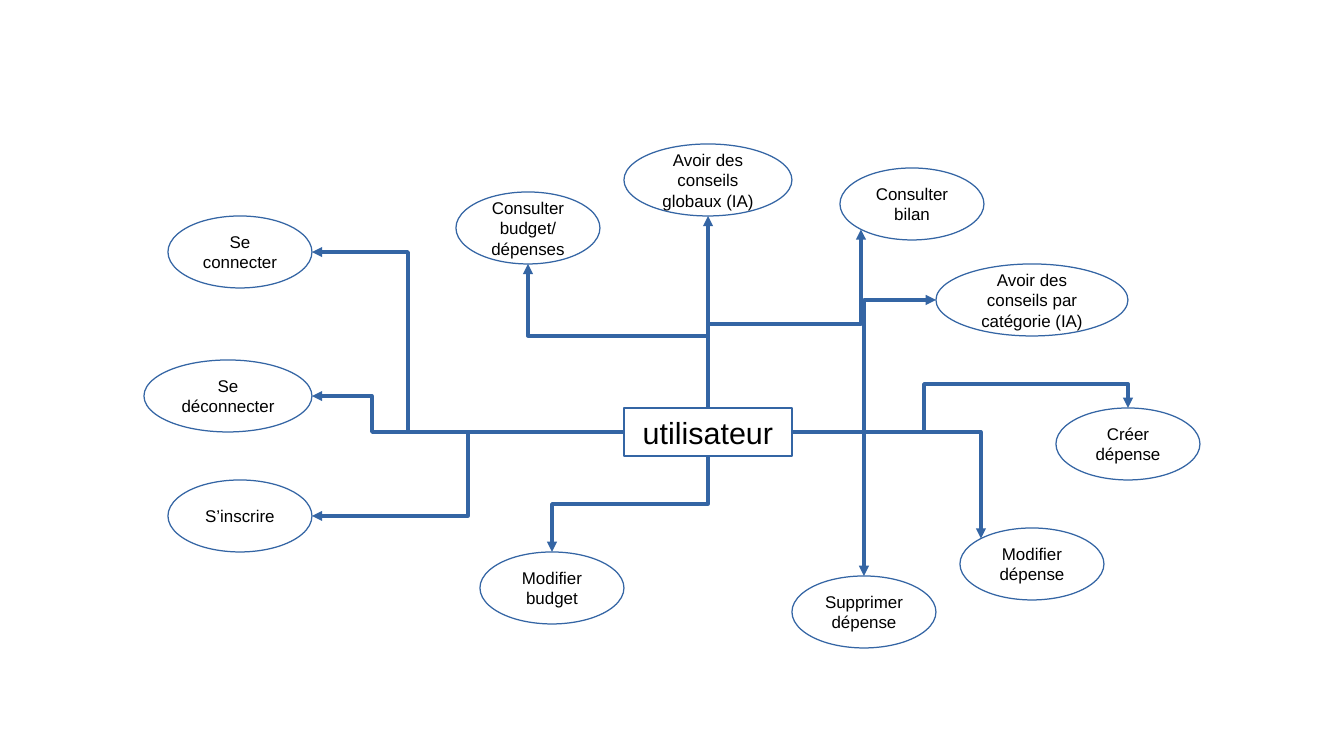
from pptx import Presentation
from pptx.dml.color import RGBColor
from pptx.enum.shapes import MSO_CONNECTOR, MSO_SHAPE
from pptx.enum.text import MSO_ANCHOR, PP_ALIGN
from pptx.oxml.ns import qn
from pptx.util import Cm, Pt
from lxml import etree

RECT, OVAL = MSO_SHAPE.RECTANGLE, MSO_SHAPE.OVAL
STRAIGHT = MSO_CONNECTOR.STRAIGHT
CENTER, MIDDLE = PP_ALIGN.CENTER, MSO_ANCHOR.MIDDLE

# Content: all lengths are cells of a square grid
COLS, ROWS, CELL = 56, 31.5, Cm(0.5)
FONT = "Arial"
COLORS = {"fill": "FFFFFF", "line": "3465A4", "text": "000000"}

ACTOR = ("utilisateur", (26, 17, 7, 2))

# Name: text, (column, row, width, height)
CASES = {
    "login": ("Se connecter", (7, 9, 6, 3)),
    "logout": ("Se déconnecter", (6, 15, 7, 3)),
    "signup": ("S’inscrire", (7, 20, 6, 3)),
    "view": ("Consulter\nbudget/dépenses", (19, 8, 6, 3)),
    "balance": ("Consulter\nbilan", (35, 7, 6, 3)),
    "global": ("Avoir des conseils globaux (IA)", (26, 6, 7, 3)),
    "category": ("Avoir des conseils par catégorie (IA)", (39, 11, 8, 3)),
    "budget": ("Modifier budget", (20, 23, 6, 3)),
    "create": ("Créer dépense", (44, 17, 6, 3)),
    "edit": ("Modifier dépense", (40, 22, 6, 3)),
    "delete": ("Supprimer dépense", (33, 24, 6, 3)),
}

# Case, side of the actor, side of the oval, columns or rows of the bends
LINKS = [
    ("view", "top", "bottom", [14]),
    ("global", "top", "bottom", []),
    ("balance", "top", "low left", [13.5]),
    ("category", "right", "left", [36]),
    ("delete", "right", "top", []),
    ("create", "right", "top", [38.5, 16]),
    ("edit", "right", "high left", []),
    ("budget", "bottom", "top", [21]),
    ("login", "left", "right", [17]),
    ("logout", "left", "right", [15.5]),
    ("signup", "left", "right", [19.5]),
]

# Actor side: site, direction out, angle of the path
EXITS = {
    "top": (0, (0, -1), 270),
    "left": (1, (-1, 0), 180),
    "bottom": (2, (0, 1), 90),
    "right": (3, (1, 0), 0),
}
# Side: site on an oval, share of width and height
EDGE = 0.146
SIDES = {
    "top": (0, 0.5, 0),
    "high left": (1, EDGE, EDGE),
    "left": (2, 0, 0.5),
    "low left": (3, EDGE, 1 - EDGE),
    "bottom": (4, 0.5, 1),
    "right": (6, 1, 0.5),
}

deck = Presentation()
deck.slide_width, deck.slide_height = int(COLS * CELL), int(ROWS * CELL)
slide = deck.slides.add_slide(deck.slide_layouts[6])


def color(name):
    return RGBColor.from_string(COLORS[name])


def outline(item):
    item.line.color.rgb = color("line")
    item.line.width = Pt(0)


def add_node(kind, text, cells, size):
    node = slide.shapes.add_shape(kind, *(int(n * CELL) for n in cells))
    node.shadow.inherit = False
    node.fill.solid()
    node.fill.fore_color.rgb = color("fill")
    outline(node)
    frame = node.text_frame
    frame.word_wrap = True
    frame.vertical_anchor = MIDDLE
    frame.text = text
    for para in frame.paragraphs:
        para.alignment = CENTER
        for run in para.runs:
            run.font.name, run.font.size = FONT, Pt(size)
            run.font.color.rgb = color("text")
    return node


def point(cells, side):
    left, top, width, height = cells
    _, across, down = SIDES[side]
    return left + across * width, top + down * height


def bend_path(link, start, end, way, angle, bends):
    """Shape the link as an elbow that leaves in the given direction."""
    delta = [b - a for a, b in zip(start, end)]
    axis = 0 if way[0] else 1
    long, wide = abs(delta[axis]), abs(delta[1 - axis])
    mid = [(a + b) / 2 for a, b in zip(start, end)]
    link.left = int((mid[0] - long / 2) * CELL)
    link.top = int((mid[1] - wide / 2) * CELL)
    link.width, link.height = int(long * CELL), int(wide * CELL)

    props = link._element.spPr
    frame = props.find(qn("a:xfrm"))
    flip = delta[1] * way[0] - delta[0] * way[1] < 0
    frame.set("rot", str(angle * 60000))
    frame.set("flipH", "0")
    frame.set("flipV", str(int(flip)))

    shape = props.find(qn("a:prstGeom"))
    shape.set("prst", f"bentConnector{len(bends) + 2}")
    guides = shape.find(qn("a:avLst"))
    if guides is None:
        guides = etree.SubElement(shape, qn("a:avLst"))
    for i, bend in enumerate(bends):
        turn = (axis + i) % 2
        share = (bend - start[turn]) / delta[turn]
        name = "adj1" if len(bends) == 1 else f"adj{i + 1}"
        etree.SubElement(guides, qn("a:gd"), name=name,
                         fmla=f"val {round(share * 100000)}")


# Actor and use cases
actor = add_node(RECT, *ACTOR, 18)
ovals = {name: add_node(OVAL, *case, 10) for name, case in CASES.items()}

# Arrows from the actor to each use case
for name, out, into, bends in LINKS:
    site, way, angle = EXITS[out]
    start, end = point(ACTOR[1], out), point(CASES[name][1], into)
    link = slide.shapes.add_connector(
        STRAIGHT, *(int(n * CELL) for n in start + end))
    link.begin_connect(actor, site)
    link.end_connect(ovals[name], 0)
    link._element.find(".//" + qn("a:endCxn")).set("idx", str(SIDES[into][0]))
    if start[0] == end[0]:
        link.end_x, link.end_y = (int(n * CELL) for n in end)
    else:
        bend_path(link, start, end, way, angle, bends)
    outline(link)
    etree.SubElement(link.line._get_or_add_ln(), qn("a:tailEnd"),
                     type="triangle")
    etree.SubElement(link._element.spPr, qn("a:effectLst"))

deck.save("out.pptx")
